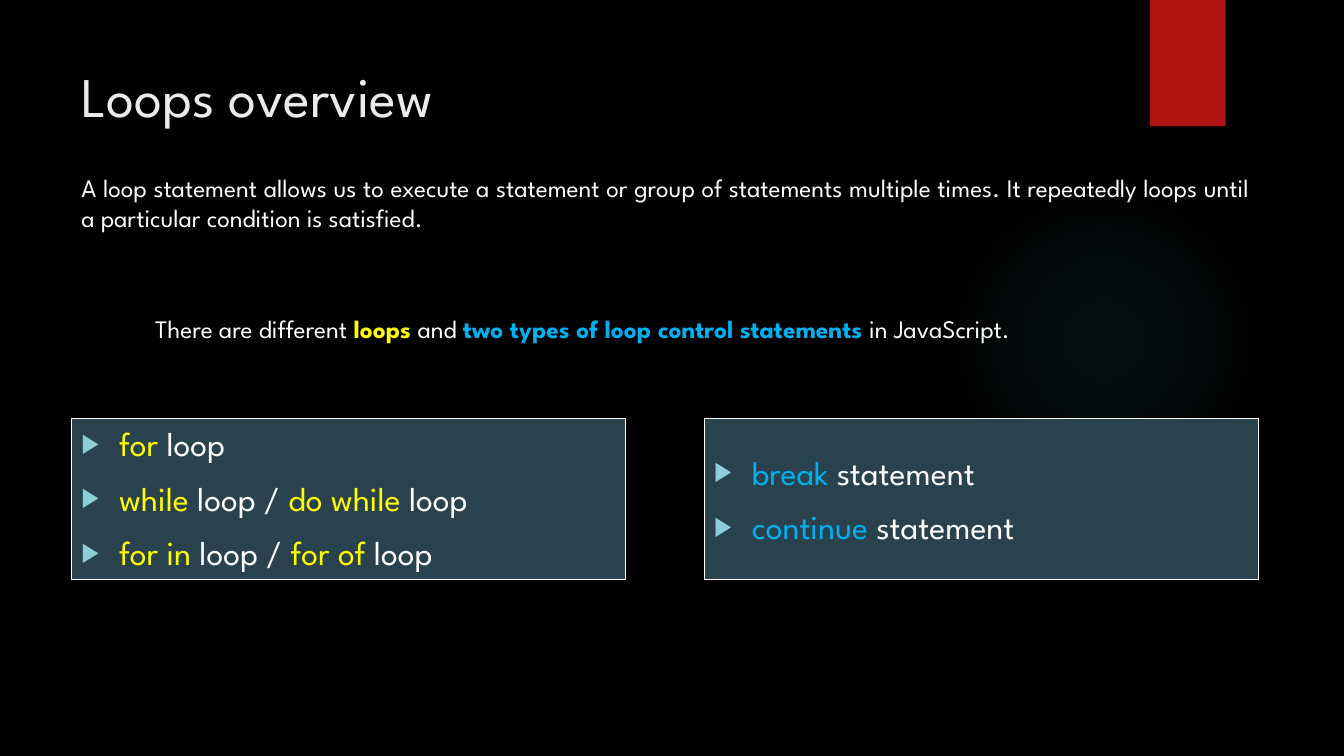
"""Build the loops overview slide."""
from dataclasses import dataclass
from typing import NamedTuple, Optional

from lxml.etree import Element, SubElement
from pptx import Presentation
from pptx.dml.color import RGBColor
from pptx.enum.shapes import MSO_SHAPE
from pptx.enum.text import MSO_ANCHOR, PP_ALIGN
from pptx.oxml.ns import qn
from pptx.util import Cm, Pt


@dataclass(frozen=True)
class Theme:
    back: str = "000000"
    glow: str = "50B9C1"
    tab: str = "B01513"
    head: str = "EBEBEB"
    text: str = "FFFFFF"
    loop: str = "FFFF00"
    jump: str = "00B0F0"
    panel: str = "2A424D"
    mark: str = "8AD0D6"
    font: str = "League Spartan"
    title: int = 40
    body: int = 18
    item: int = 24
    gap: int = 10
    indent: float = 0.95


class Area(NamedTuple):
    left: float
    top: float
    width: float
    height: float


class Part(NamedTuple):
    text: str
    color: str
    bold: bool = False


@dataclass(frozen=True)
class Block:
    area: Area
    lines: list[list[Part]]
    size: int
    align: PP_ALIGN = PP_ALIGN.LEFT
    anchor: MSO_ANCHOR = MSO_ANCHOR.TOP
    fill: Optional[str] = None


THEME = Theme()


def place(area: Area) -> list[int]:
    """Turn an area into slide lengths."""
    return [Cm(side) for side in area]


def paint(slide, kind: MSO_SHAPE, area: Area, color: str):
    """Add a plain filled shape."""
    shape = slide.shapes.add_shape(kind, *place(area))
    shape.shadow.inherit = False
    shape.fill.solid()
    shape.fill.fore_color.rgb = RGBColor.from_string(color)
    shape.line.fill.background()
    return shape


def shine(shape, stops: list[tuple[int, int]]) -> None:
    """Give a shape a faint round gradient."""
    grad = Element(qn("a:gradFill"))
    group = SubElement(grad, qn("a:gsLst"))
    for pos, alpha in stops:
        stop = SubElement(group, qn("a:gs"), pos=str(pos * 1000))
        tint = SubElement(stop, qn("a:srgbClr"), val=THEME.glow)
        SubElement(tint, qn("a:alpha"), val=str(alpha * 1000))
    route = SubElement(grad, qn("a:path"))
    route.set("path", "circle")
    SubElement(route, qn("a:fillToRect"), l="50000", t="50000", r="50000", b="50000")
    props = shape._element.spPr
    props.replace(props.find(qn("a:solidFill")), grad)


def bullet(para) -> None:
    """Add a hanging arrow bullet."""
    props = para._p.get_or_add_pPr()
    indent = Cm(THEME.indent)
    props.set("marL", str(indent))
    props.set("indent", str(-indent))
    SubElement(SubElement(props, qn("a:buClr")), qn("a:srgbClr"), val=THEME.mark)
    SubElement(props, qn("a:buSzPct"), val="80000")
    SubElement(props, qn("a:buFont"), typeface="Arial")
    SubElement(props, qn("a:buChar"), char="▶")


def write(slide, block: Block) -> None:
    """Add a text block, bulleted when it is a filled panel."""
    if block.fill:
        shape = paint(slide, MSO_SHAPE.RECTANGLE, block.area, block.fill)
        shape.line.color.rgb = RGBColor.from_string(THEME.text)
        shape.line.width = Pt(1)
    else:
        shape = slide.shapes.add_textbox(*place(block.area))
    frame = shape.text_frame
    frame.word_wrap = True
    frame.vertical_anchor = block.anchor
    for index, line in enumerate(block.lines):
        para = frame.add_paragraph() if index else frame.paragraphs[0]
        if block.fill:
            bullet(para)
        para.alignment = block.align
        if index:
            para.space_before = Pt(THEME.gap)
        for part in line:
            run = para.add_run()
            run.text = part.text
            run.font.name = THEME.font
            run.font.size = Pt(block.size)
            run.font.bold = part.bold
            run.font.color.rgb = RGBColor.from_string(part.color)


def loop(text: str) -> Part:
    """Mark a loop keyword."""
    return Part(text, THEME.loop)


def jump(text: str) -> Part:
    """Mark a control keyword."""
    return Part(text, THEME.jump)


def plain(text: str) -> Part:
    """Mark plain text."""
    return Part(text, THEME.text)


BLOCKS = [
    Block(Area(1.8, 1.27, 27.33, 2.24), [[Part("Loops overview", THEME.head)]],
          THEME.title, anchor=MSO_ANCHOR.MIDDLE),
    Block(Area(1.8, 4.22, 29.95, 1.8),
          [[plain("A loop statement allows us to execute a statement or group of "
                  "statements multiple times. It repeatedly loops until a "
                  "particular condition is satisfied.")]],
          THEME.body, PP_ALIGN.JUSTIFY),
    Block(Area(1.8, 10.54, 13.97, 4.06),
          [[loop("for "), plain("loop")],
           [loop("while "), plain("loop / "), loop("do while "), plain("loop")],
           [loop("for in "), plain("loop / "), loop("for of "), plain("loop")]],
          THEME.item, fill=THEME.panel),
    Block(Area(17.75, 10.54, 13.97, 4.06),
          [[jump("break "), plain("statement")],
           [jump("continue "), plain("statement")]],
          THEME.item, anchor=MSO_ANCHOR.MIDDLE, fill=THEME.panel),
    Block(Area(3.66, 7.77, 26.85, 1.02),
          [[plain("There are different "), Part("loops ", THEME.loop, True),
            plain("and "),
            Part("two types of loop control statements ", THEME.jump, True),
            plain("in JavaScript.")]],
          THEME.body, PP_ALIGN.JUSTIFY),
]


def main() -> None:
    """Draw and save the slide."""
    deck = Presentation()
    deck.slide_width, deck.slide_height = Cm(33.87), Cm(19.05)
    slide = deck.slides.add_slide(deck.slide_layouts[6])
    slide.background.fill.solid()
    slide.background.fill.fore_color.rgb = RGBColor.from_string(THEME.back)
    glow = paint(slide, MSO_SHAPE.OVAL, Area(23.9, 4.65, 7.82, 7.82), THEME.glow)
    shine(glow, [(0, 7), (36, 6), (69, 0)])
    paint(slide, MSO_SHAPE.RECTANGLE, Area(28.98, 0, 1.91, 3.18), THEME.tab)
    for block in BLOCKS:
        write(slide, block)
    deck.save("out.pptx")


if __name__ == "__main__":
    main()
